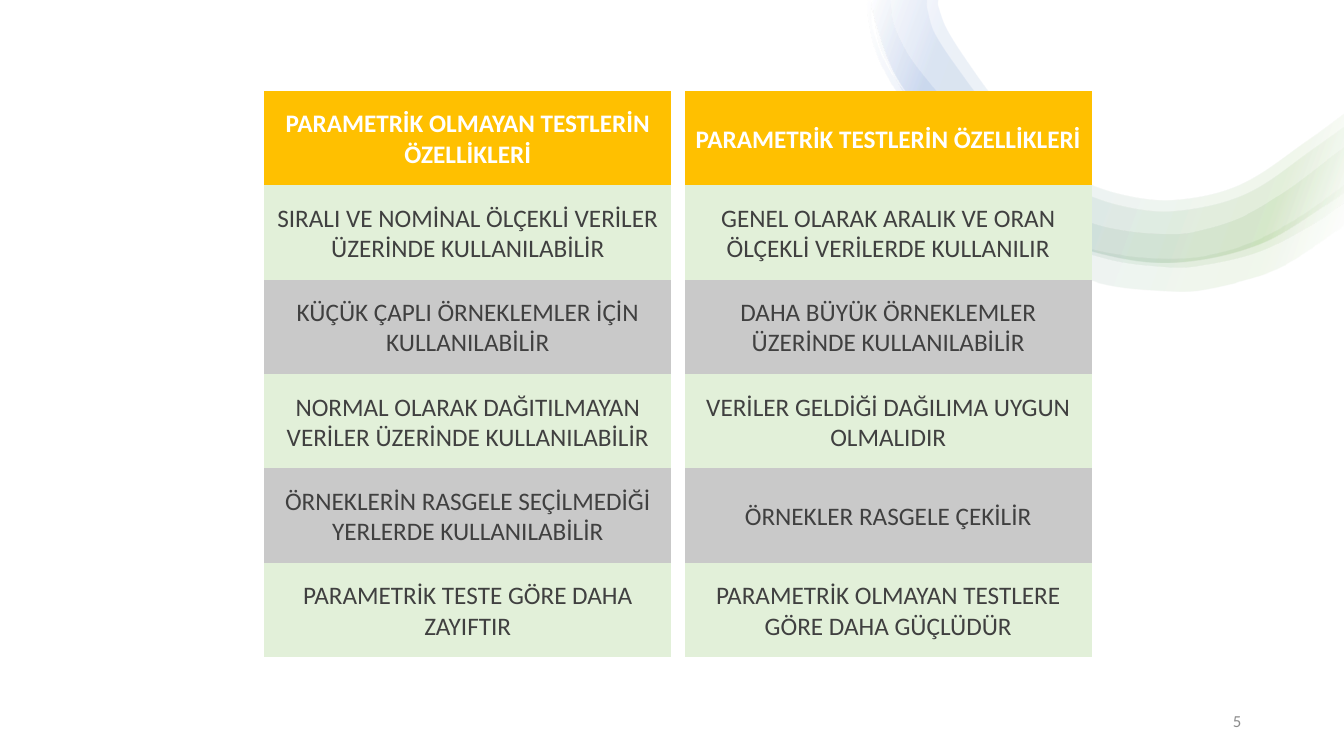
from math import dist

from lxml import etree
from pptx import Presentation
from pptx.dml.color import RGBColor
from pptx.enum.shapes import MSO_SHAPE
from pptx.enum.text import MSO_ANCHOR, PP_ALIGN
from pptx.oxml.ns import qn
from pptx.util import Inches, Pt

RECT, PROCESS = MSO_SHAPE.RECTANGLE, MSO_SHAPE.FLOWCHART_PROCESS
MIDDLE = MSO_ANCHOR.MIDDLE
CENTER, RIGHT = PP_ALIGN.CENTER, PP_ALIGN.RIGHT

FONT = "Calibri"
C = {"header": "FFC000", "odd": "E2F0D9", "even": "C9C9C9", "text": "404040",
     "white": "FFFFFF", "number": "8C8C8C", "green": "70AD47", "blue": "4472C4"}

COLUMNS = [
    ["PARAMETRİK OLMAYAN TESTLERİN ÖZELLİKLERİ",
     "SIRALI VE NOMİNAL ÖLÇEKLİ VERİLER ÜZERİNDE KULLANILABİLİR",
     "KÜÇÜK ÇAPLI ÖRNEKLEMLER İÇİN KULLANILABİLİR",
     "NORMAL OLARAK DAĞITILMAYAN VERİLER ÜZERİNDE KULLANILABİLİR",
     "ÖRNEKLERİN RASGELE SEÇİLMEDİĞİ YERLERDE KULLANILABİLİR",
     "PARAMETRİK TESTE GÖRE DAHA ZAYIFTIR"],
    ["PARAMETRİK TESTLERİN ÖZELLİKLERİ",
     "GENEL OLARAK ARALIK VE ORAN ÖLÇEKLİ VERİLERDE KULLANILIR",
     "DAHA BÜYÜK ÖRNEKLEMLER ÜZERİNDE KULLANILABİLİR",
     "VERİLER GELDİĞİ DAĞILIMA UYGUN OLMALIDIR",
     "ÖRNEKLER RASGELE ÇEKİLİR",
     "PARAMETRİK OLMAYAN TESTLERE GÖRE DAHA GÜÇLÜDÜR"],
]

# Ribbon edges on a grid of 473 columns by 289 rows: upper edge runs right, lower runs back.
RIBBON_GRID = (473, 289)
CORE_LOWER = [(473, 190), (459, 200), (388, 242), (304, 260), (231, 251), (170, 226),
              (118, 187), (74, 135), (29, 75), (5, 8), (5, 0)]
RIBBONS = [
    ([(0, 0), (4, 0), (6, 27), (18, 60), (37, 90), (65, 124), (101, 169), (121, 189),
      (165, 222), (216, 245), (270, 255), (326, 255), (379, 241), (428, 215), (473, 183)],
     [(473, 223), (422, 258), (393, 272), (331, 288), (298, 289), (236, 282), (176, 260),
      (149, 244), (105, 202), (71, 154), (39, 106), (11, 56), (1, 14), (0, 0)]),
    ([(23, 0), (25, 20), (34, 43), (48, 65), (82, 106), (136, 164), (175, 196), (220, 220),
      (258, 229), (297, 232), (323, 230), (371, 215), (415, 189), (458, 157), (473, 146)],
     [(473, 201), (440, 223), (387, 250), (327, 264), (297, 265), (238, 257), (153, 227),
      (106, 190), (71, 146), (41, 101), (14, 51), (8, 27), (5, 0)]),
    ([(60, 0), (60, 8), (68, 34), (99, 80), (119, 106), (158, 152), (201, 184), (249, 203),
      (304, 209), (375, 192), (445, 145), (473, 125)], CORE_LOWER),
    ([(71, 0), (71, 6), (80, 30), (108, 73), (128, 100), (162, 142), (204, 174), (250, 192),
      (304, 198), (369, 183), (439, 137), (473, 112)], CORE_LOWER),
]
RIBBON_STOPS = [(2, "white"), (16, "green"), (85, "blue"), (100, "white")]
RIBBON_ALPHA, RIBBON_ANGLE = 10, 200


def rgb(name):
    """Return the palette colour of that name."""
    return RGBColor.from_string(C[name])


def handle(p, before, after, length):
    """Return the curve handle of p, along the direction from before to after."""
    k = length / dist(before, after)
    return tuple(v + (b - a) * k for v, a, b in zip(p, before, after))


def bend(segments, points):
    """Turn the straight segments between the points into smooth curves."""
    padded = [points[0], *points, points[-1]]
    for seg, a, b, c, d in zip(segments, padded, padded[1:], padded[2:], padded[3:]):
        third = dist(b, c) / 3
        curve = etree.Element(qn("a:cubicBezTo"))
        for x, y in (handle(b, a, c, third), handle(c, d, b, third), c):
            etree.SubElement(curve, qn("a:pt"), x=str(round(x)), y=str(round(y)))
        seg.getparent().replace(seg, curve)


def fill_gradient(sp):
    """Give a shape the pale, see-through ribbon gradient."""
    sp.fill.background()
    old = sp._element.spPr.find(qn("a:noFill"))
    grad = etree.Element(qn("a:gradFill"), rotWithShape="1")
    stops = etree.SubElement(grad, qn("a:gsLst"))
    for pos, name in RIBBON_STOPS:
        stop = etree.SubElement(stops, qn("a:gs"), pos=str(pos * 1000))
        color = etree.SubElement(stop, qn("a:srgbClr"), val=C[name])
        etree.SubElement(color, qn("a:alpha"), val=str(RIBBON_ALPHA * 1000))
    etree.SubElement(grad, qn("a:lin"), ang=str(RIBBON_ANGLE * 60000), scaled="0")
    sp._element.spPr.replace(old, grad)


def add_ribbons(s, x, y, w, h):
    """Draw the overlapping ribbons inside the box."""
    cols, rows = RIBBON_GRID
    for upper, lower in RIBBONS:
        points = [(round(x + w * px / cols), round(y + h * py / rows))
                  for px, py in upper + lower]
        fb = s.shapes.build_freeform(*points[0], scale=1.0)
        fb.add_line_segments(points[1:], close=True)
        sp = fb.convert_to_shape()
        sp.shadow.inherit = False
        sp.line.fill.background()
        local = [(px - sp.left, py - sp.top) for px, py in points]
        segments = list(sp._element.spPr.iter(qn("a:lnTo")))
        n = len(upper)
        bend(segments[:n - 1], local[:n])
        bend(segments[n:], local[n:])
        fill_gradient(sp)


def add_box(s, shape, x, y, w, h, color):
    """Add a flat, borderless shape of one colour."""
    sp = s.shapes.add_shape(shape, round(x), round(y), round(w), round(h))
    sp.shadow.inherit = False
    sp.fill.solid()
    sp.fill.fore_color.rgb = rgb(color)
    sp.line.fill.background()
    return sp


def write(sp, text, size, color, align, bold=False):
    """Set one paragraph of text, centred in height."""
    tf = sp.text_frame
    tf.word_wrap = True
    tf.vertical_anchor = MIDDLE
    p = tf.paragraphs[0]
    p.text = text
    p.alignment = align
    p.font.name, p.font.size, p.font.bold = FONT, Pt(size), bold
    p.font.color.rgb = rgb(color)


def add_comparison(s, x, y, w, h, gap):
    """Draw two columns of stacked boxes, each under a header."""
    col_w = (w - gap) / len(COLUMNS)
    row_h = h / len(COLUMNS[0])
    for i, column in enumerate(COLUMNS):
        for j, text in enumerate(column):
            header = j == 0
            color = "header" if header else "odd" if j % 2 else "even"
            sp = add_box(s, PROCESS, x + i * (col_w + gap), y + j * row_h, col_w, row_h, color)
            write(sp, text, 18, "white" if header else "text", CENTER, header)


def add_slide_number(s, x, y, w, h):
    """Write the slide number at the right of the box."""
    write(s.shapes.add_textbox(x, y, w, h), "5", 12, "number", RIGHT)


def main():
    """Build and save the slide."""
    prs = Presentation()
    prs.slide_width, prs.slide_height = Inches(13.33), Inches(7.5)
    s = prs.slides.add_slide(prs.slide_layouts[6])
    add_box(s, RECT, 0, 0, prs.slide_width, prs.slide_height, "white")
    add_ribbons(s, Inches(8.6), 0, Inches(4.73), Inches(2.89))
    add_comparison(s, Inches(2.62), Inches(0.9), Inches(8.21), Inches(5.62), Inches(0.13))
    add_slide_number(s, Inches(9.41), Inches(6.95), Inches(3), Inches(0.4))
    prs.save("out.pptx")


main()
